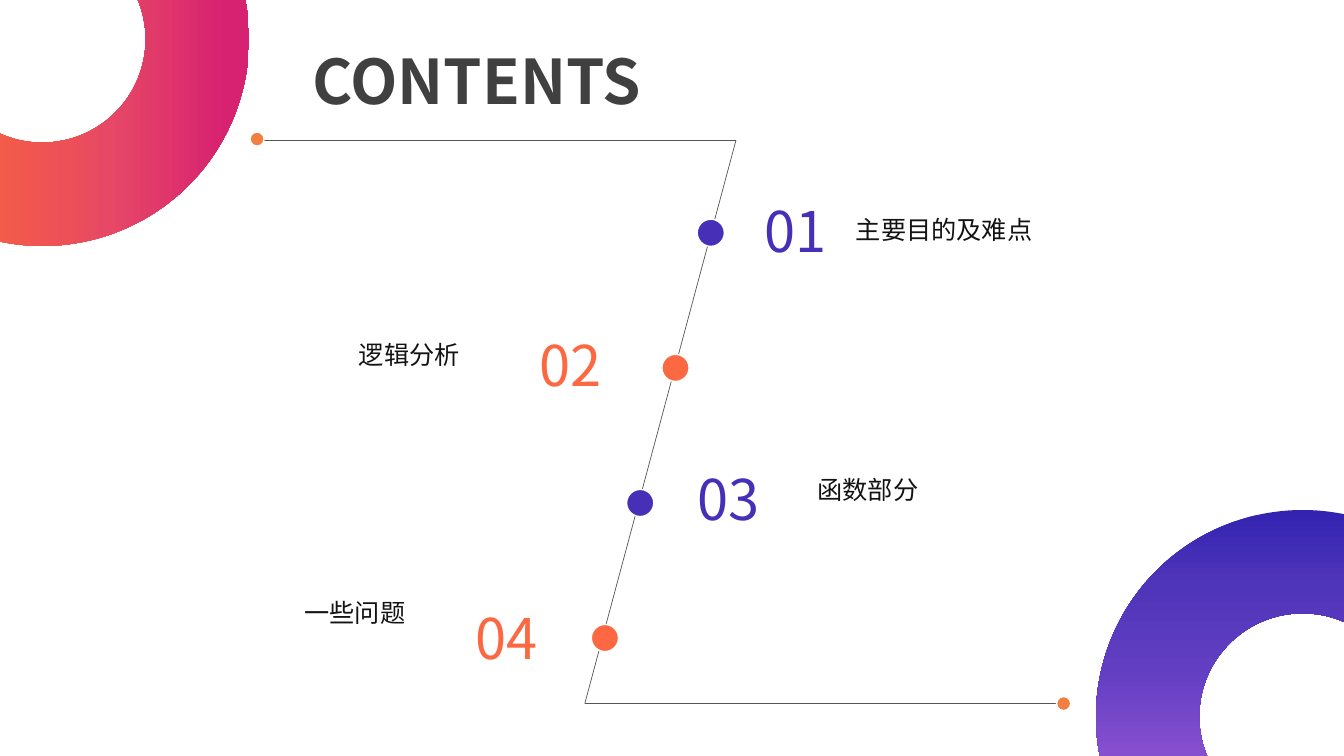
import pptx
import pptx.util
import pptx.dml.color
import pptx.enum.shapes
import pptx.enum.text
import pptx.oxml
import pptx.oxml.ns
from lxml import etree

Inches, Pt = pptx.util.Inches, pptx.util.Pt
RGBColor = pptx.dml.color.RGBColor
SHAPE = pptx.enum.shapes.MSO_SHAPE
ALIGN = pptx.enum.text.PP_ALIGN
ANCHOR = pptx.enum.text.MSO_ANCHOR
qn = pptx.oxml.ns.qn

FONT = "Noto Sans CJK SC"
WHITE = RGBColor(0xFF, 0xFF, 0xFF)
TITLE_GREY = RGBColor(0x40, 0x40, 0x40)
TEXT_BLACK = RGBColor(0x13, 0x13, 0x13)
LINE_GREY = RGBColor(0x53, 0x57, 0x5A)
INDIGO = RGBColor(0x47, 0x30, 0xB7)
CORAL = RGBColor(0xFC, 0x68, 0x41)
ORANGE = RGBColor(0xF1, 0x7F, 0x42)

TITLE = "CONTENTS"
# label, number's left and top, label's left, top and width
ENTRIES = [
    ("主要目的及难点", (7.48, 1.9), (8.39, 2.08, 1.95)),
    ("逻辑分析", (5.25, 3.23), (3.46, 3.32, 1.2)),
    ("函数部分", (6.82, 4.56), (8.01, 4.66, 1.2)),
    ("一些问题", (4.62, 5.94), (2.92, 5.88, 1.2)),
]
# corners of the Z-shaped path, from start to end
PATH = [(2.57, 1.39), (7.3, 1.39), (5.8, 6.98), (10.53, 6.98)]
PATH_ENDS = [(2.55, 1.38), (10.55, 6.98)]
FIRST_DOT, DOT_STEP = (7.05, 2.31), (-0.35, 1.34)
DOT, END_DOT, RING = 0.27, 0.14, 4.1
# left, top, angle in degrees, gradient stops in percent
RINGS = [
    (-1.63, -1.66, 0, [(0, "F87038"), (18, "FD6743"), (38, "F35C49"),
                       (56, "EE5058"), (66, "E64866"), (95, "D72171")]),
    (10.87, 5.06, 90, [(0, "3323B1"), (18, "4F35B9"), (38, "613EC2"),
                       (67, "9456D4"), (100, "A561DC")]),
]


def write(s, text, size, color, align=ALIGN.LEFT, bold=False, wrap=False):
    tf = s.text_frame
    tf.text = text
    tf.word_wrap = wrap
    tf.vertical_anchor = ANCHOR.TOP
    p = tf.paragraphs[0]
    p.alignment = align
    font = p.runs[0].font
    font.name, font.size, font.bold = FONT, Pt(size), bold
    font.color.rgb = color
    ea = etree.SubElement(p.runs[0]._r.get_or_add_rPr(), qn("a:ea"))
    ea.set("typeface", FONT)


def add_text(left, top, width, height, *args, **kwargs):
    box = slide.shapes.add_textbox(*map(Inches, (left, top, width, height)))
    write(box, *args, **kwargs)


def add_line(start, end):
    line = slide.shapes.add_connector(
        pptx.enum.shapes.MSO_CONNECTOR.STRAIGHT, *map(Inches, start + end))
    line.line.color.rgb = LINE_GREY
    line.line.width = Pt(0.5)
    etree.SubElement(line._element.spPr, qn("a:effectLst"))


def add_dot(x, y, size, color):
    """Draw a white-rimmed dot centred on x, y."""
    dot = slide.shapes.add_shape(
        SHAPE.OVAL, *map(Inches, (x - size / 2, y - size / 2, size, size)))
    dot.shadow.inherit = False
    dot.fill.solid()
    dot.fill.fore_color.rgb = color
    dot.line.color.rgb = WHITE
    dot.line.width = Pt(1)


def add_ring(left, top, angle, stops):
    ring = slide.shapes.add_shape(
        SHAPE.DONUT, *map(Inches, (left, top, RING, RING)))
    ring.shadow.inherit = False
    ring.line.fill.background()
    ring.fill.gradient()
    grad = ring._element.spPr.find(qn("a:gradFill"))
    stop_list = grad.find(qn("a:gsLst"))
    for old in list(stop_list):
        stop_list.remove(old)
    for percent, color in stops:
        stop = etree.SubElement(stop_list, qn("a:gs"), pos=str(percent * 1000))
        etree.SubElement(stop, qn("a:srgbClr"), val=color)
    lin = grad.find(qn("a:lin"))
    lin.set("ang", str(angle * 60000))
    lin.set("scaled", "0")


prs = pptx.Presentation()
prs.slide_width, prs.slide_height = Inches(13.33), Inches(7.5)
slide = prs.slides.add_slide(prs.slide_layouts[5])

title = slide.shapes.title
title.left, title.top, title.width, title.height = map(
    Inches, (2.9, 0.38, 3.66, 0.84))
write(title, TITLE, 44, TITLE_GREY, ALIGN.CENTER, bold=True)
title.text_frame.auto_size = pptx.enum.text.MSO_AUTO_SIZE.NONE

for start, end in zip(PATH, PATH[1:]):
    add_line(start, end)
for x, y in PATH_ENDS:
    add_dot(x, y, END_DOT, ORANGE)

for i, (label, number_at, (left, top, width)) in enumerate(ENTRIES):
    on_left = i % 2 == 1
    color = CORAL if on_left else INDIGO
    add_dot(FIRST_DOT[0] + i * DOT_STEP[0], FIRST_DOT[1] + i * DOT_STEP[1],
            DOT, color)
    add_text(*number_at, 1.18, 0.77, f"{i + 1:02}", 40, color, wrap=True)
    add_text(left, top, width, 0.4, label, 18, TEXT_BLACK,
             ALIGN.CENTER if on_left else ALIGN.LEFT)

for ring in RINGS:
    add_ring(*ring)

prs.save("out.pptx")
